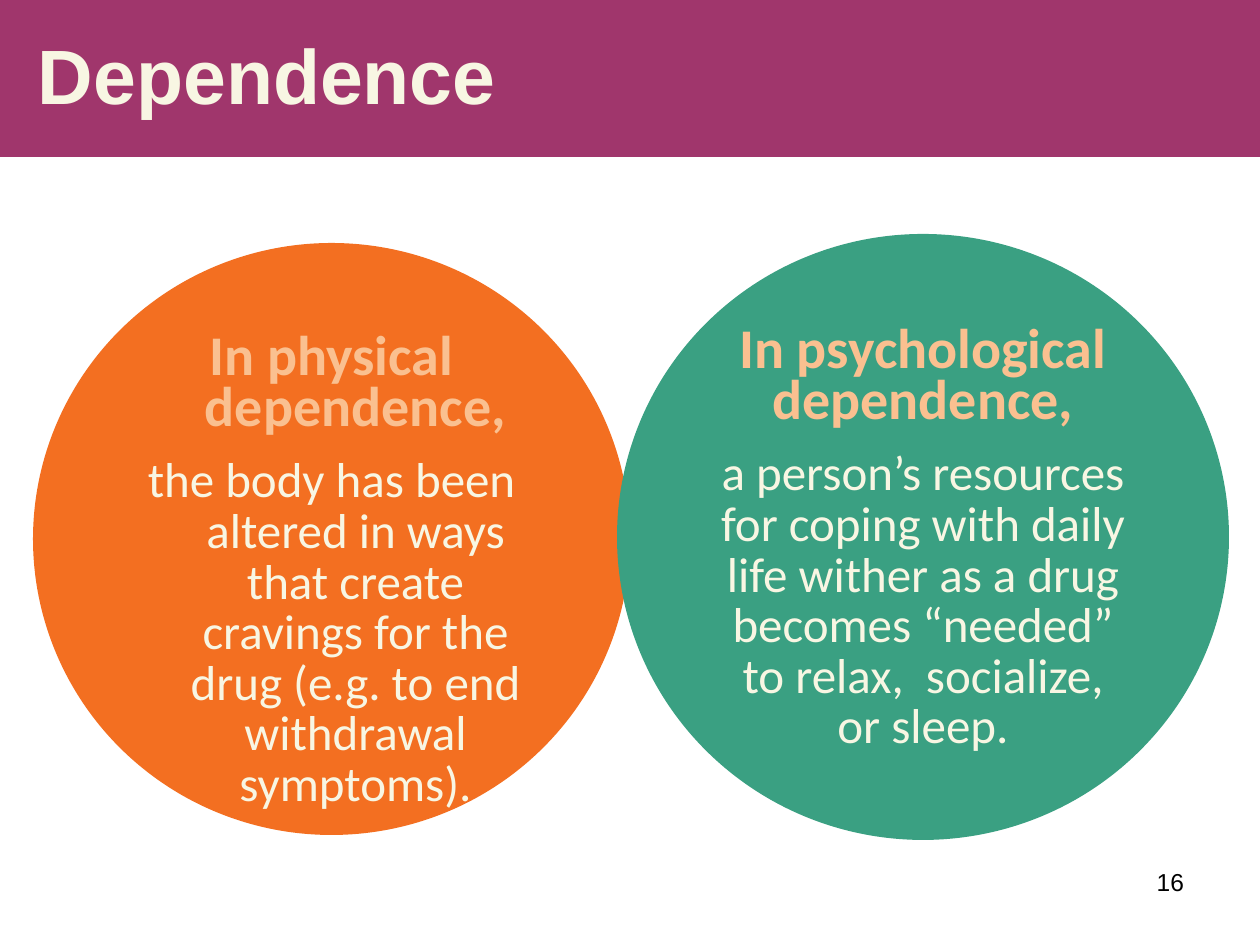
"""Build the Dependence slide with two circles comparing kinds of dependence."""
from dataclasses import dataclass

from pptx import Presentation
from pptx.dml.color import RGBColor
from pptx.enum.shapes import MSO_SHAPE
from pptx.enum.text import MSO_ANCHOR, MSO_AUTO_SIZE, PP_ALIGN
from pptx.util import Emu, Pt


@dataclass(frozen=True)
class Theme:
    banner: str = "A0366C"
    cream: str = "F8F6E3"
    peach: str = "FAC090"
    orange: str = "F36F21"
    green: str = "3AA082"
    black: str = "000000"
    heading_font: str = "Arial"
    body_font: str = "Calibri"
    title_size: int = 44
    lead_size: int = 32
    body_size: int = 28
    number_size: int = 14


THEME = Theme()
PAGE_SIZE = (1260, 945)
TITLE = ("Dependence", (0, 0, 1260, 157))
PAGE_NUMBER = ("16", (903, 861, 294, 65))
CIRCLES = [
    {
        "place": (33, 243, 597, 592),
        "fill": THEME.orange,
        "hanging": 48,
        "lead": "In physical dependence,",
        "body": "the body has been altered in ways that create cravings for the drug "
                "(e.g. to end withdrawal symptoms).",
    },
    {
        "place": (617, 234, 612, 606),
        "fill": THEME.green,
        "hanging": 0,
        "lead": "In psychological dependence,",
        "body": "a person’s resources for coping with daily life wither as a drug "
                "becomes “needed” to relax,  socialize, or sleep.",
    },
]


def px(length):
    return Emu(round(length * 914400 / 126))


def set_fill(shape, color):
    shape.fill.solid()
    shape.fill.fore_color.rgb = RGBColor.from_string(color)


def set_frame(shape, anchor, left=13):
    frame = shape.text_frame
    frame.word_wrap = True
    frame.auto_size = MSO_AUTO_SIZE.NONE
    frame.vertical_anchor = anchor
    frame.margin_left, frame.margin_right = px(left), px(13)
    frame.margin_top = frame.margin_bottom = px(6)
    return frame


def write(para, text, font, size, color, bold=False, align=PP_ALIGN.LEFT,
          spacing=1.0, before=0):
    para.alignment = align
    para.line_spacing = spacing
    para.space_before = Pt(before)
    span = para.add_run()
    span.text = text
    span.font.name = font
    span.font.size = Pt(size)
    span.font.bold = bold
    span.font.color.rgb = RGBColor.from_string(color)


def add_title(page):
    text, place = TITLE
    title = page.shapes.title
    title.left, title.top, title.width, title.height = map(px, place)
    set_fill(title, THEME.banner)
    frame = set_frame(title, MSO_ANCHOR.MIDDLE, left=38)
    write(frame.paragraphs[0], text, THEME.heading_font, THEME.title_size,
          THEME.cream, bold=True, spacing=0.95)


def add_circle(page, circle):
    shape = page.shapes.add_shape(MSO_SHAPE.OVAL, *map(px, circle["place"]))
    shape.shadow.inherit = False
    set_fill(shape, circle["fill"])
    shape.line.fill.background()
    frame = set_frame(shape, MSO_ANCHOR.TOP)
    write(frame.paragraphs[0], circle["lead"], THEME.body_font, THEME.lead_size,
          THEME.peach, bold=True, align=PP_ALIGN.CENTER, spacing=0.75)
    write(frame.add_paragraph(), circle["body"], THEME.body_font, THEME.body_size,
          THEME.cream, align=PP_ALIGN.CENTER, spacing=0.86, before=12)
    for para in frame.paragraphs:
        properties = para._p.get_or_add_pPr()
        properties.set("marL", str(px(circle["hanging"])))
        properties.set("indent", str(px(-circle["hanging"])))


def add_page_number(page):
    text, place = PAGE_NUMBER
    box = page.shapes.add_textbox(*map(px, place))
    frame = set_frame(box, MSO_ANCHOR.TOP)
    write(frame.paragraphs[0], text, THEME.heading_font, THEME.number_size,
          THEME.black, align=PP_ALIGN.RIGHT)


def main():
    deck = Presentation()
    deck.slide_width, deck.slide_height = map(px, PAGE_SIZE)
    page = deck.slides.add_slide(deck.slide_layouts.get_by_name("Title Only"))
    add_title(page)
    for circle in CIRCLES:
        add_circle(page, circle)
    add_page_number(page)
    deck.save("out.pptx")


if __name__ == "__main__":
    main()
